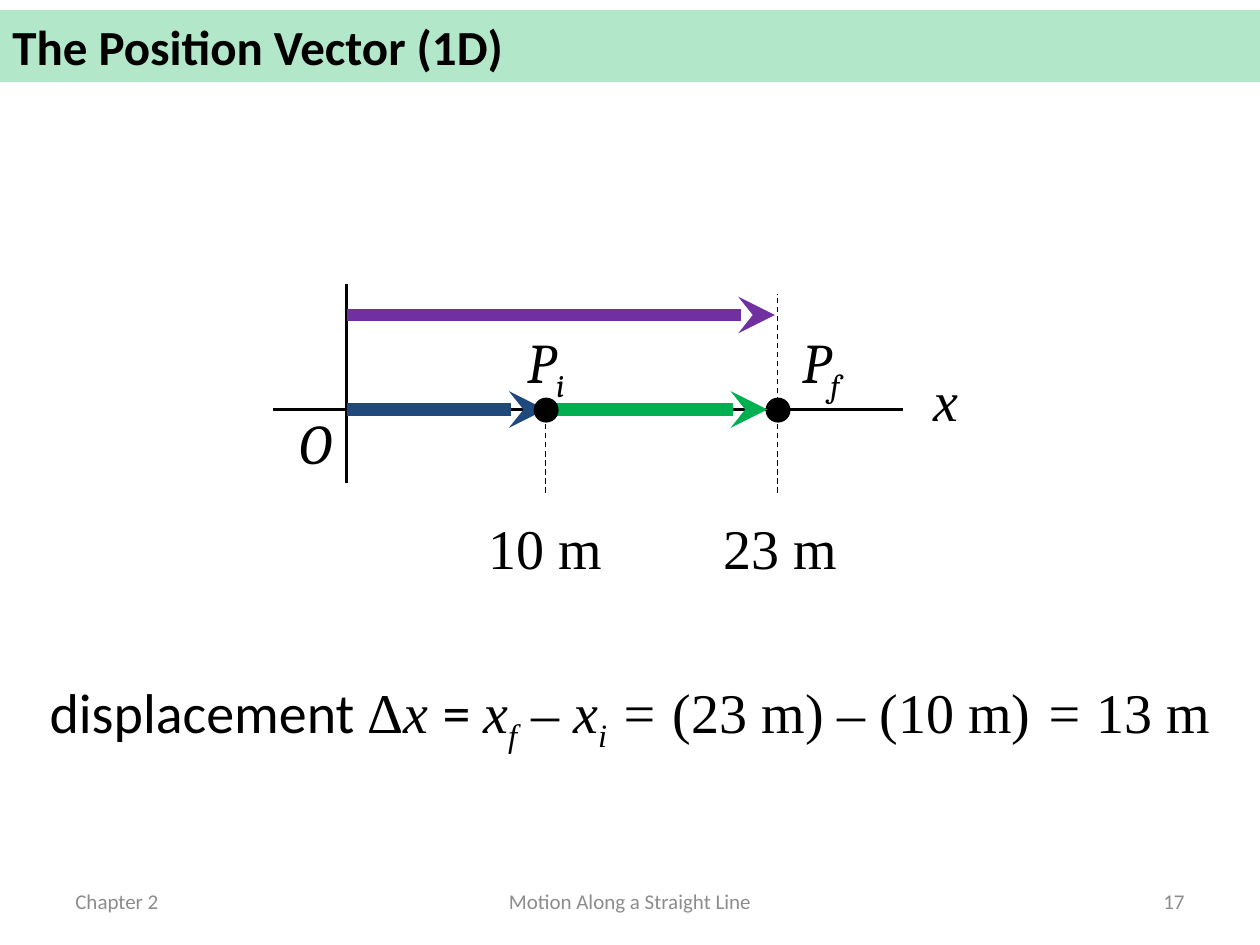
import pptx
import pptx.dml.color
import pptx.enum.dml
import pptx.enum.shapes
import pptx.enum.text
import pptx.oxml.ns
import pptx.util
from lxml import etree

Inches = pptx.util.Inches
Pt = pptx.util.Pt
RGBColor = pptx.dml.color.RGBColor
Align = pptx.enum.text.PP_ALIGN
Anchor = pptx.enum.text.MSO_ANCHOR
Kind = pptx.enum.shapes.MSO_SHAPE

BLACK = RGBColor(0x00, 0x00, 0x00)
GRAY = RGBColor(0x8C, 0x8C, 0x8C)
GREEN = RGBColor(0x00, 0xB0, 0x50)
BLUE = RGBColor(0x1F, 0x49, 0x7D)
PURPLE = RGBColor(0x70, 0x30, 0xA0)

SANS = "Calibri"
SERIF = "Times New Roman"
MATH = "Cambria"


def add_xml(parent, tag, **attrs):
    return etree.SubElement(parent, pptx.oxml.ns.qn(tag), **attrs)


def write(shape, runs, size=32, font=SERIF, color=BLACK, bold=False,
          italic=False, align=Align.CENTER, anchor=Anchor.TOP, wrap=True):
    frame = shape.text_frame
    frame.word_wrap = wrap
    frame.vertical_anchor = anchor
    para = frame.paragraphs[0]
    para.alignment = align
    for words, style in runs:
        run = para.add_run()
        run.text = words
        run.font.size = Pt(size)
        run.font.name = style.get("font", font)
        run.font.color.rgb = color
        run.font.bold = bold
        run.font.italic = style.get("italic", italic)
        if style.get("sub"):
            run.font._element.set("baseline", "-25000")


def label(shapes, box, runs, **style):
    if isinstance(runs, str):
        runs = [(runs, {})]
    write(shapes.add_textbox(*map(Inches, box)), runs, **style)


def block(shapes, kind, box, color):
    shape = shapes.add_shape(kind, *map(Inches, box))
    shape.shadow.inherit = False
    shape.fill.solid()
    shape.fill.fore_color.rgb = color
    return shape


def line(shapes, start, end, color=BLACK, width=2, dash=False, arrow=False):
    link = shapes.add_connector(pptx.enum.shapes.MSO_CONNECTOR.STRAIGHT,
                                *map(Inches, start + end))
    link.line.color.rgb = color
    link.line.width = Pt(width)
    if dash:
        link.line.dash_style = pptx.enum.dml.MSO_LINE.DASH
    if arrow:
        add_xml(link.line._get_or_add_ln(), "a:tailEnd", type="stealth")
    add_xml(link._element.spPr, "a:effectLst")


def header(shapes, box):
    bar = block(shapes, Kind.RECTANGLE, box, GREEN)
    bar.line.fill.background()
    tint = bar._element.spPr.find(".//" + pptx.oxml.ns.qn("a:srgbClr"))
    add_xml(tint, "a:alpha", val="30000")
    write(bar, [("The Position Vector (1D)", {})], size=28, font=SANS,
          bold=True, align=Align.JUSTIFY)


def axes(shapes, box, zero, level):
    left, top, width, height = box
    group = shapes.add_group_shape().shapes
    right = left + width
    line(group, (left, level), (right, level))
    line(group, (zero, top + height), (zero, top))
    label(group, (right, level - 0.4, 0.67, 0.64), "x", italic=True)
    label(group, (left, level - 0.06, 0.67, 0.64), "O", font=MATH, italic=True)


def point(shapes, box, name, shift):
    left, top, width, height = box
    group = shapes.add_group_shape().shapes
    dot = block(group, Kind.OVAL, box, BLACK)
    dot.line.color.rgb = BLACK
    dot.line.width = Pt(2)
    label(group, (left + shift, top - 0.62, 0.67, 0.64),
          [("P", {}), (name, {"sub": True})], font=MATH, italic=True)


def motion(shapes, box):
    left, top, width, height = box
    zero, first, last = left + 0.58, left + 2.16, left + 4
    level, upper, foot = top + 1, top + 0.25, top + 1.66
    half = 0.08
    dot = 0.17
    axes(shapes, box, zero, level)
    line(shapes, (zero, level), (first, level), BLUE, 7, arrow=True)
    point(shapes, (last - half, level - half, dot, dot), "f", 0.09)
    line(shapes, (zero, upper), (last - 0.02, upper), PURPLE, 7, arrow=True)
    line(shapes, (first, level), (last - half, level), GREEN, 7, arrow=True)
    point(shapes, (first - half, level - half, dot, dot), "i", -0.25)
    for x, start, words, mid in ((first, level + half, "10 m", first),
                                 (last, top + 0.08, "23 m", last + 0.03)):
        line(shapes, (x, foot), (x, start), width=0.75, dash=True)
        label(shapes, (mid - 0.67, foot + 0.12, 1.33, 0.64), words)


def result(shapes, box):
    plain = {"font": SANS}
    slant = {"italic": True}
    sub = {"italic": True, "sub": True}
    label(shapes, box, [
        ("displacement ", plain), ("Δ", {}), ("x ", slant), ("= ", plain),
        ("x", slant), ("f", sub), (" – x", slant), ("i", sub), (" = ", slant),
        ("(23 m) – (10 m) ", {}), ("= ", slant), ("13 m", {}),
    ], wrap=False)


def footer(shapes, box):
    left, top, width, height = box
    side, mid = 2.33, 3.17
    parts = (
        (left, side, "Chapter 2", Align.LEFT),
        (left + (width - mid) / 2, mid, "Motion Along a Straight Line",
         Align.CENTER),
        (left + width - side, side, "17", Align.RIGHT),
    )
    for x, wide, words, align in parts:
        label(shapes, (x, top, wide, height), words, size=12, font=SANS,
              color=GRAY, align=align, anchor=Anchor.MIDDLE)


def main():
    deck = pptx.Presentation()
    deck.slide_width = Inches(10)
    deck.slide_height = Inches(7.5)
    shapes = deck.slides.add_slide(deck.slide_layouts[6]).shapes
    header(shapes, (0, 0.08, 10, 0.57))
    motion(shapes, (2.17, 2.25, 5, 1.58))
    result(shapes, (0.24, 5.33, 9.52, 0.64))
    footer(shapes, (0.5, 6.95, 9, 0.4))
    deck.save("out.pptx")


if __name__ == "__main__":
    main()
